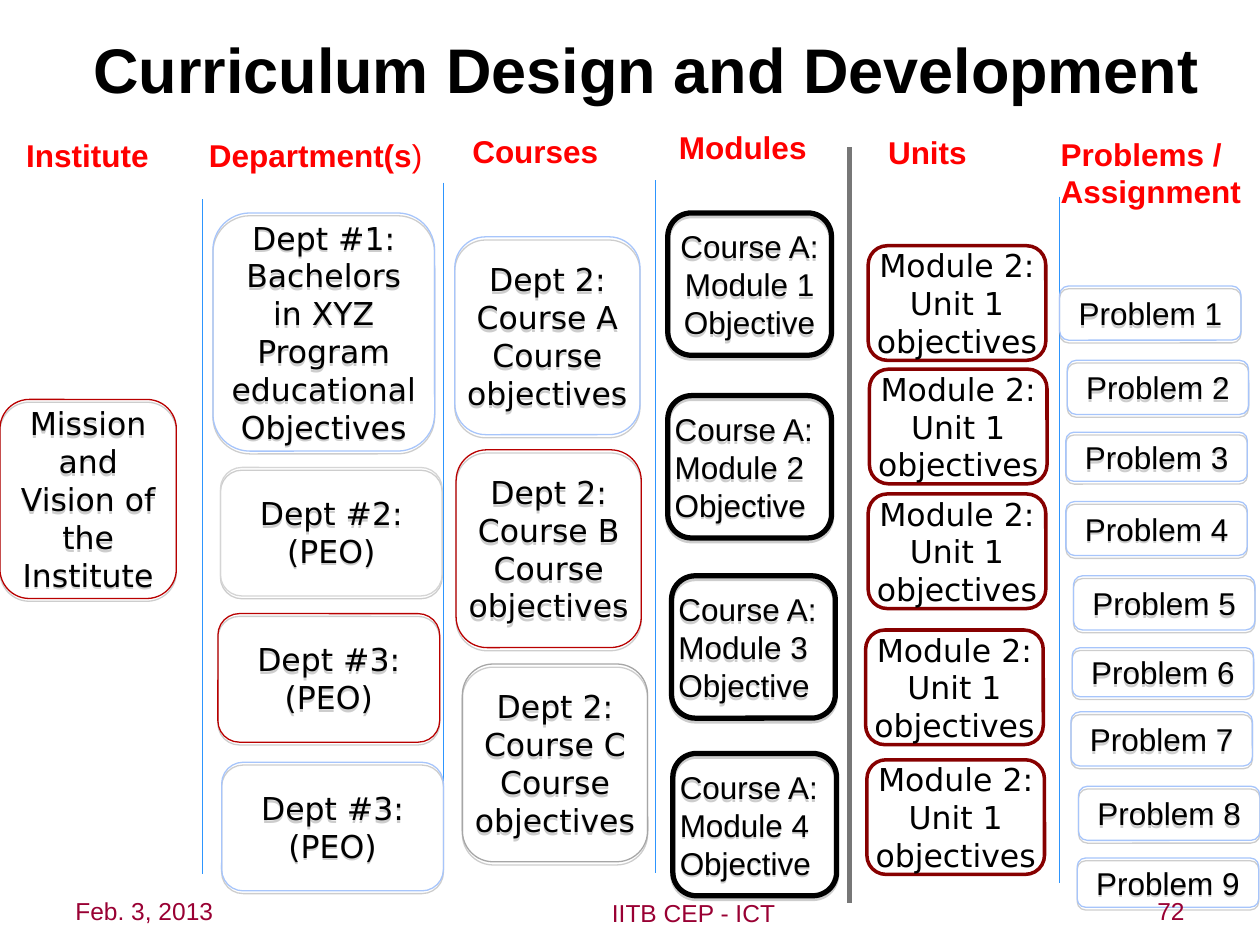
"""Build the slide on curriculum design and development."""
from lxml import etree
from pptx import Presentation
from pptx.dml.color import RGBColor
from pptx.enum.shapes import MSO_CONNECTOR, MSO_SHAPE
from pptx.enum.text import MSO_ANCHOR, PP_ALIGN
from pptx.oxml.ns import qn
from pptx.util import Inches, Pt

ROUND = MSO_SHAPE.ROUNDED_RECTANGLE
LINE = MSO_CONNECTOR.STRAIGHT
TOP, MIDDLE = MSO_ANCHOR.TOP, MSO_ANCHOR.MIDDLE
LEFT, CENTER, RIGHT = PP_ALIGN.LEFT, PP_ALIGN.CENTER, PP_ALIGN.RIGHT
SANS, WIDE = "Arial", "DejaVu Sans"
BLACK, RED, PLUM = "000000", "FF0000", "990033"
SKY, BLUE, BRICK, MAROON = "A7C5FB", "2D95FE", "B90000", "870000"
SILVER, ASH, GRAY, SHADE = "D5D5D5", "A6A6A6", "777777", "808080"


def color(code):
    """Turn a hex string into a colour."""
    return RGBColor.from_string(code)


def write(frame, text, font=SANS, size=18, ink=BLACK, bold=False,
          align=LEFT, anchor=TOP, pad=(0, 0), tail=""):
    """Fill a frame with formatted text and an optional plain tail."""
    frame.word_wrap = True
    frame.vertical_anchor = anchor
    frame.margin_left = frame.margin_right = pad[0]
    frame.margin_top = frame.margin_bottom = pad[1]
    for row, words in enumerate(text.split("\n")):
        para = frame.paragraphs[0] if row == 0 else frame.add_paragraph()
        para.alignment = align
        parts = [(words, bold)]
        if tail:
            parts.append((tail, False))
        for part, heavy in parts:
            run = para.add_run()
            run.text = part
            run.font.name, run.font.size = font, Pt(size)
            run.font.bold = heavy
            run.font.color.rgb = color(ink)


class Board:
    """A slide on a grid of 100 columns by 75 rows."""

    def __init__(self, deck):
        """Add a blank slide and size the grid."""
        self.slide = deck.slides.add_slide(deck.slide_layouts[6])
        self.col, self.row = deck.slide_width / 100, deck.slide_height / 75

    def place(self, x, y, w, h):
        """Turn grid cells into slide lengths."""
        return (round(x * self.col), round(y * self.row),
                round(w * self.col), round(h * self.row))

    def label(self, area, text, **style):
        """Add a text box."""
        box = self.slide.shapes.add_textbox(*self.place(*area))
        pad = (round(self.col), round(self.row / 2))
        write(box.text_frame, text, pad=pad, **style)

    def card(self, area, text, edge, width=0.75, drop=1.6, pad=0, **style):
        """Add a rounded outline with text and a drop shadow."""
        box = self.slide.shapes.add_shape(ROUND, *self.place(*area))
        box.shadow.inherit = False
        box.fill.background()
        box.line.color.rgb, box.line.width = color(edge), Pt(width)
        if drop:
            self.shade(box, drop)
        style = {"align": CENTER, "anchor": MIDDLE} | style
        write(box.text_frame, text, pad=(round(pad * self.col),) * 2, **style)

    def shade(self, box, drop):
        """Cast a soft gray shadow straight down."""
        effects = box._element.spPr.find(qn("a:effectLst"))
        outer = etree.SubElement(effects, qn("a:outerShdw"), blurRad="0",
                                 dist=str(Pt(drop)), dir="5400000",
                                 rotWithShape="0")
        tint = etree.SubElement(outer, qn("a:srgbClr"), val=SHADE)
        etree.SubElement(tint, qn("a:alpha"), val="38000")

    def rule(self, x, top, end, ink=BLUE, width=0.75):
        """Add an upright line."""
        x, top, _, end = self.place(x, top, 0, end)
        line = self.slide.shapes.add_connector(LINE, x, top, x, end)
        line.line.color.rgb, line.line.width = color(ink), Pt(width)
        etree.SubElement(line._element.spPr, qn("a:effectLst"))


def main():
    """Draw the columns from institute to problems."""
    deck = Presentation()
    deck.slide_width, deck.slide_height = Inches(10), Inches(7.5)
    board = Board(deck)

    board.label((4.8, 1.9, 93, 7), "Curriculum Design and Development",
                size=36, bold=True, align=CENTER)
    for x, y, w, text, tail in (
            (1.1, 10.3, 13.9, "Institute", ""),
            (15.6, 10.3, 19.4, "Department(s", ")"),
            (36.5, 10, 12.9, "Courses", ""),
            (52.9, 9.7, 12.6, "Modules", ""),
            (69.5, 10.1, 12.4, "Units", ""),
            (83.2, 10.2, 16.8, "Problems /\nAssignment", "")):
        board.label((x, y, w, 4), text, ink=RED, bold=True, tail=tail)

    for x, top, end in ((16.1, 15.8, 69.4), (35.2, 14.5, 69.1),
                        (52, 14.3, 69.3), (84.1, 15.6, 70.1)):
        board.rule(x, top, end)
    board.rule(67.4, 11.7, 71.7, GRAY, 3)

    board.card((0, 31.7, 14, 15.8), "Mission and Vision of the Institute",
               BRICK, pad=0.2, font=WIDE)

    board.card((16.9, 16.9, 17.6, 18.9),
               "Dept #1: Bachelors\nin XYZ\nProgram educational Objectives",
               SKY, font=WIDE)
    for x, y, num, edge in ((17.5, 37.1, 2, SILVER), (17.3, 48.7, 3, BRICK),
                            (17.6, 60.5, 3, SKY)):
        board.card((x, y, 17.6, 10.2), f"Dept #{num}:\n(PEO)", edge,
                   pad=0.5, font=WIDE)

    for x, y, name, edge in ((36.1, 18.8, "A", SKY), (36.2, 35.7, "B", BRICK),
                             (36.7, 52.7, "C", ASH)):
        board.card((x, y, 14.7, 15.7),
                   f"Dept 2: Course {name}\nCourse objectives", edge,
                   drop=1.8, font=WIDE)

    spots = ((53, 16.9), (53, 31.4), (53.3, 45.7), (53.4, 59.8))
    for num, (x, y) in enumerate(spots, 1):
        board.card((x, y, 13, 11.3), f"Course A: Module {num}\nObjective",
                   BLACK, width=3, align=CENTER if num == 1 else LEFT)

    for x, y in ((68.9, 19.5), (69, 29.3), (68.9, 39.2), (68.7, 50),
                 (68.8, 60.3)):
        board.card((x, y, 14.1, 9.1), "Module 2: Unit 1 objectives", MAROON,
                   width=2, drop=0, font=WIDE)

    trio = ((0, 0, 4.3), (0.6, 5.9, 4.3), (0.5, 11.6, 3.9))
    for bank, (x, y) in enumerate(((84.1, 22.7), (84.6, 39.8), (85, 56.5))):
        for num, (right, down, tall) in enumerate(trio, 3 * bank + 1):
            board.card((x + right, y + down, 14.4, tall), f"Problem {num}",
                       SKY)

    for x, y, w, text, align in ((39.2, 70.8, 31.7, "IITB CEP - ICT", CENTER),
                                 (80.8, 70.6, 14.2, "72", RIGHT),
                                 (5, 70.6, 23.3, "Feb. 3, 2013", LEFT)):
        board.label((x, y, w, 4.4), text, size=14, ink=PLUM, align=align)
    deck.save("out.pptx")


if __name__ == "__main__":
    main()
